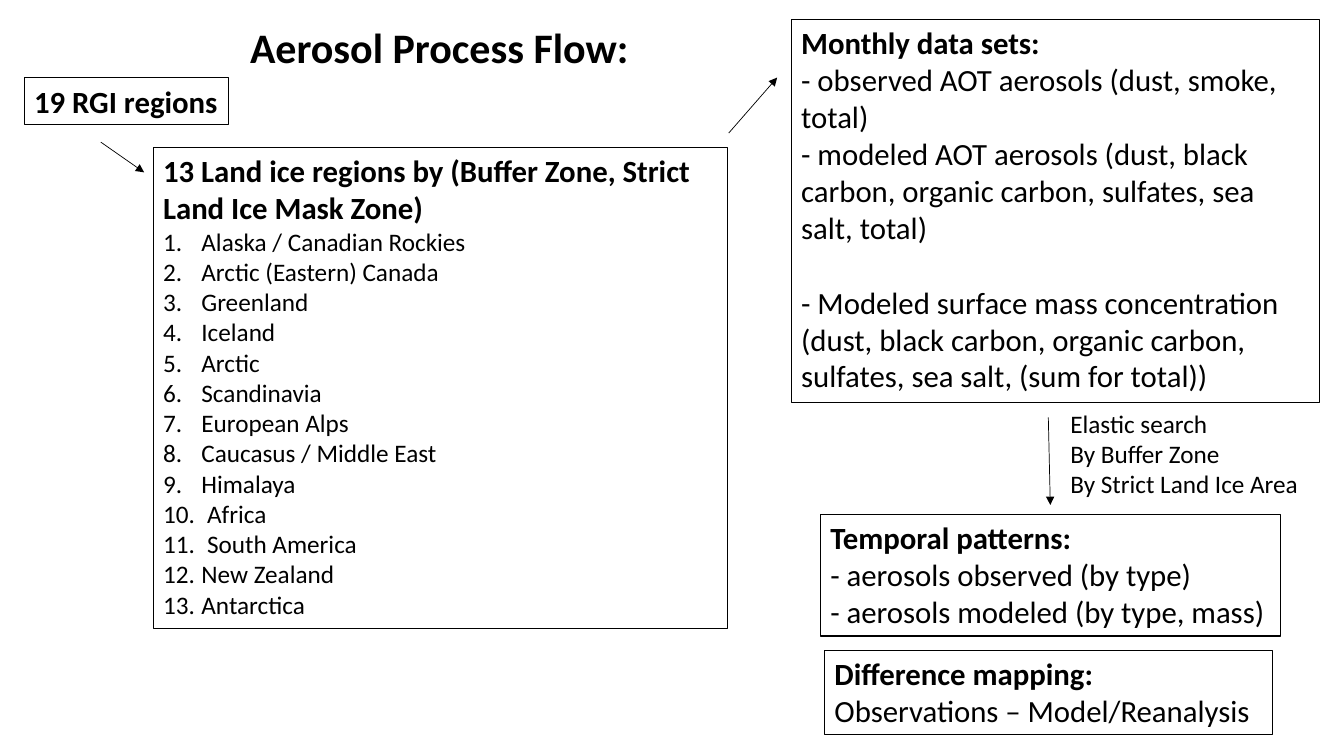
import pptx
import pptx.util
import pptx.dml.color
import pptx.enum.shapes
import pptx.enum.text
import pptx.oxml.ns
import lxml.etree

COLS, ROWS = 40, 30
INK = "000000"
BODY, SMALL, HEAD = 22, 18, 30


def tint(code):
    return pptx.dml.color.RGBColor.from_string(code)


def child(node, tag, **attrs):
    return lxml.etree.SubElement(node, pptx.oxml.ns.qn(tag), **attrs)


class Flow:
    font = "Calibri"

    def __init__(self, deck):
        self.wide = deck.slide_width / COLS
        self.high = deck.slide_height / ROWS
        self.slide = deck.slides.add_slide(deck.slide_layouts[5])

    def grid(self, *cells):
        units = (self.wide, self.high) * 2
        return [round(cell * unit) for cell, unit in zip(cells, units)]

    def words(self, frame, lines, wrap):
        frame.word_wrap = wrap
        frame.auto_size = pptx.enum.text.MSO_AUTO_SIZE.SHAPE_TO_FIT_TEXT
        frame.vertical_anchor = pptx.enum.text.MSO_ANCHOR.TOP
        for i, (text, size, bold, kind) in enumerate(lines):
            para = frame.paragraphs[0] if i == 0 else frame.add_paragraph()
            para.alignment = pptx.enum.text.PP_ALIGN.LEFT
            if kind == "list":
                props = para._p.get_or_add_pPr()
                indent = pptx.util.Inches(0.38)
                props.set("marL", str(indent))
                props.set("indent", str(-indent))
                child(props, "a:buFont", typeface="+mj-lt")
                child(props, "a:buAutoNum", type="arabicPeriod")
            if kind == "gap":
                para.space_before = pptx.util.Pt(26.8)
            run = para.add_run()
            run.text = text
            run.font.name = self.font
            run.font.size = pptx.util.Pt(size)
            run.font.bold = bold
            run.font.color.rgb = tint(INK)

    def title(self, cells, text):
        head = self.slide.shapes.title
        head.left, head.top, head.width, head.height = self.grid(*cells)
        self.words(head.text_frame, [(text, HEAD, True, "")], False)

    def box(self, cells, lines, wrap=False):
        rect = self.slide.shapes.add_shape(
            pptx.enum.shapes.MSO_SHAPE.RECTANGLE, *self.grid(*cells))
        rect.shadow.inherit = False
        rect.fill.background()
        rect.line.color.rgb = tint(INK)
        rect.line.width = pptx.util.Pt(0.75)
        self.words(rect.text_frame, lines, wrap)

    def note(self, cells, lines):
        area = self.slide.shapes.add_textbox(*self.grid(*cells))
        self.words(area.text_frame, lines, False)

    def arrow(self, *cells):
        link = self.slide.shapes.add_connector(
            pptx.enum.shapes.MSO_CONNECTOR.STRAIGHT, *self.grid(*cells))
        link.line.color.rgb = tint(INK)
        link.line.width = pptx.util.Pt(0.5)
        props = link.element.spPr
        child(props.find(pptx.oxml.ns.qn("a:ln")), "a:tailEnd", type="triangle")
        child(props, "a:effectLst")


def lead(text):
    return text, BODY, True, ""


def body(text, kind=""):
    return text, BODY, False, kind


def small(text, kind=""):
    return text, SMALL, False, kind


def main():
    deck = pptx.Presentation()
    deck.slide_width = pptx.util.Inches(13.33)
    deck.slide_height = pptx.util.Inches(7.5)
    flow = Flow(deck)
    flow.title((7.14, 0.64, 12, 2.44), "Aerosol Process Flow:")

    zones = ["Alaska / Canadian Rockies", "Arctic (Eastern) Canada",
             "Greenland", "Iceland", "Arctic", "Scandinavia",
             "European Alps", "Caucasus / Middle East", "Himalaya",
             " Africa", " South America", "New Zealand", "Antarctica"]
    flow.box((4.56, 5.84, 17.1, 19.12), [
        lead("13 Land ice regions by (Buffer Zone, Strict Land Ice Mask Zone)"),
        *(small(zone, "list") for zone in zones)], wrap=True)
    flow.box((0.72, 3.08, 6.09, 1.88), [lead("19 RGI regions")])
    flow.box((23.55, 0.76, 15.72, 15.2), [
        lead("Monthly data sets:"),
        body("- observed AOT aerosols (dust, smoke, total)"),
        body("- modeled AOT aerosols (dust, black carbon, organic carbon, "
             "sulfates, sea salt, total)"),
        body("- Modeled surface mass concentration (dust, black carbon, "
             "organic carbon, sulfates, sea salt, (sum for total))", "gap"),
    ], wrap=True)
    flow.box((24.42, 20.4, 13.68, 4.84), [
        lead("Temporal patterns:"),
        body("- aerosols observed (by type)"),
        body("- aerosols modeled (by type, mass)")])
    flow.box((24.54, 25.8, 13.32, 3.36), [
        lead("Difference mapping:"),
        body("Observations – Model/Reanalysis")])
    flow.note((31.56, 16, 7.47, 4.04), [
        small("Elastic search"),
        small("By Buffer Zone"),
        small("By Strict Land Ice Area")])

    flow.arrow(3, 5.64, 4.29, 6.84)
    flow.arrow(21.69, 5.28, 23.13, 3.08)
    flow.arrow(31.2, 16.56, 31.26, 20.04)
    deck.save("out.pptx")


if __name__ == "__main__":
    main()
